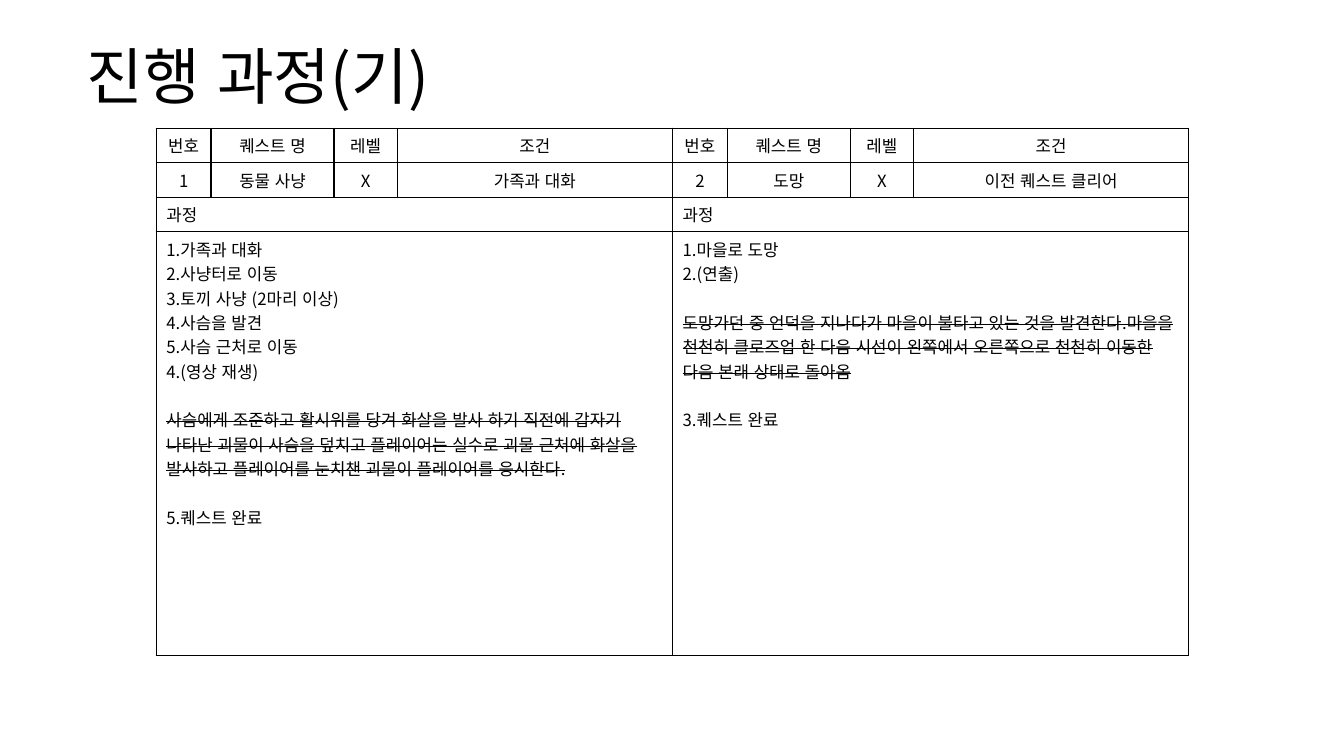
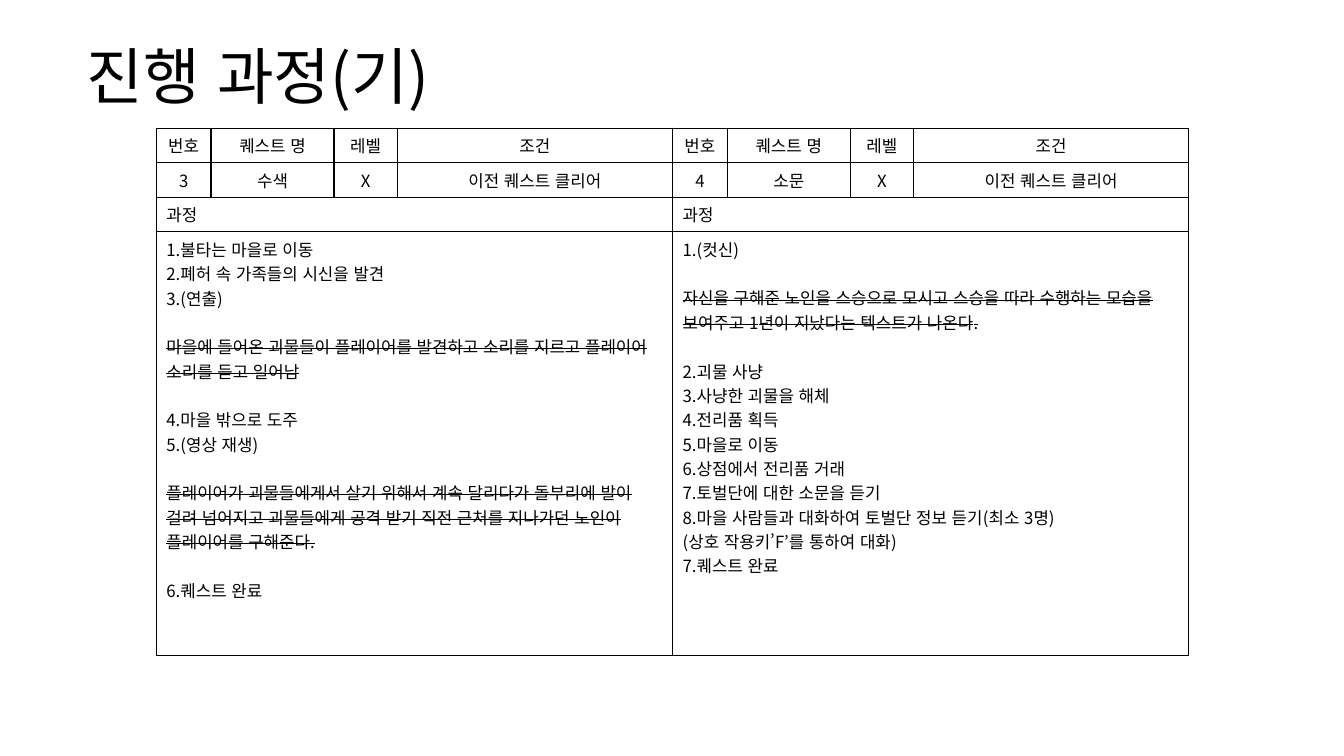
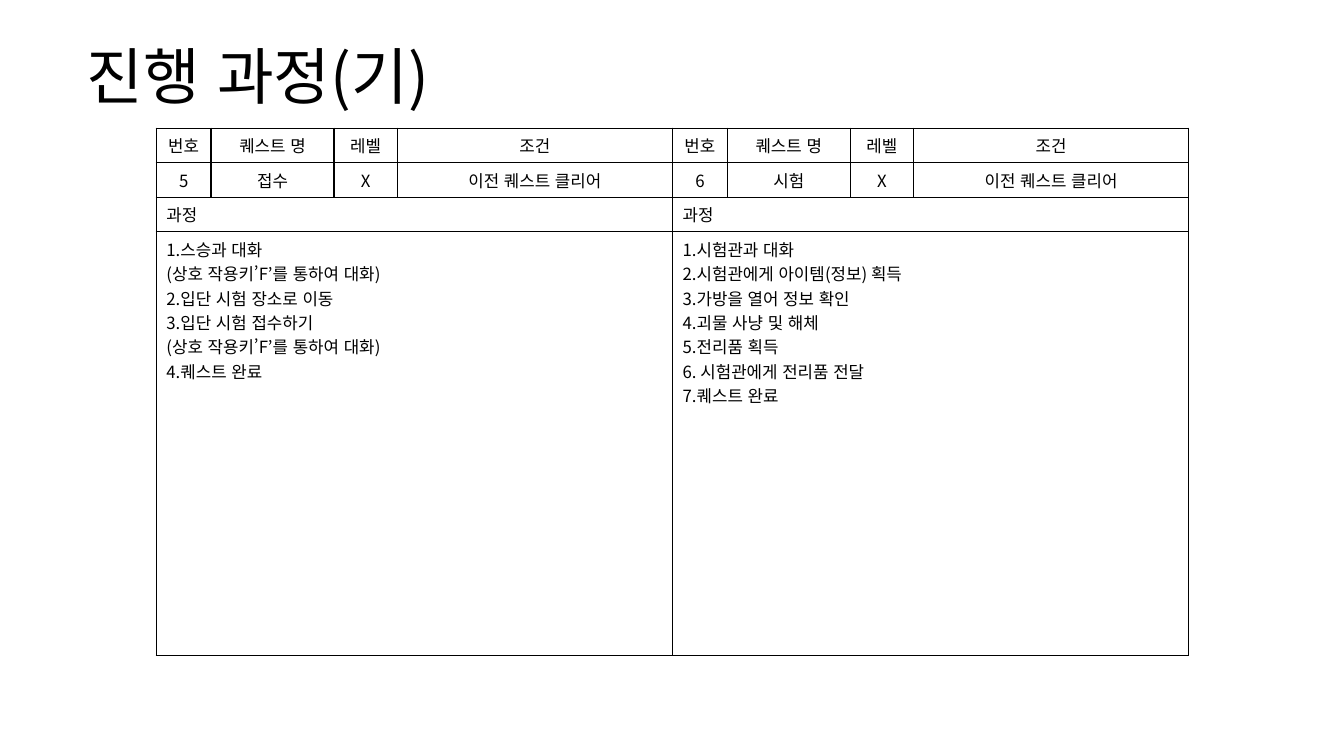
import lxml.etree
import pptx
import pptx.dml.color
import pptx.enum.lang
import pptx.enum.text
import pptx.oxml.ns
import pptx.util

Cm = pptx.util.Cm
Pt = pptx.util.Pt
qn = pptx.oxml.ns.qn

COLOURS = {"text": "000000", "border": "000000"}
FONT = "Noto Sans CJK KR"
BODY_SIZE = 12
BLOCK_GAP = 17.4
TITLE = "진행 과정(기)"
TITLE_BOX = (1.93, 0.81, 30, 2.39)
HEADINGS = ["번호", "퀘스트 명", "레벨", "조건"]
COLUMN_WIDTHS = [1.38, 3.1, 1.59, 6.94]
ROW_HEIGHTS = [0.87, 0.87, 0.87, 10.68]
TABLE_LEFT, TABLE_TOP = 3.94, 3.23
CLEARED = "이전 퀘스트 클리어"
TALK = "(상호 작용키’F’를 통하여 대화)"

# Each quest: number, name, level, condition, blocks; every second block is a struck-out scene.
PAGES = [
    [
        (["1", "동물 사냥", "X", "가족과 대화"], [
            ["1.가족과 대화", "2.사냥터로 이동", "3.토끼 사냥 (2마리 이상)", "4.사슴을 발견",
             "5.사슴 근처로 이동", "4.(영상 재생)"],
            ["사슴에게 조준하고 활시위를 당겨 화살을 발사 하기 직전에 갑자기 나타난 괴물이 사슴을 덮치고 "
             "플레이어는 실수로 괴물 근처에 화살을 발사하고 플레이어를 눈치챈 괴물이 플레이어를 응시한다."],
            ["5.퀘스트 완료"],
        ]),
        (["2", "도망", "X", CLEARED], [
            ["1.마을로 도망", "2.(연출)"],
            ["도망가던 중 언덕을 지나다가 마을이 불타고 있는 것을 발견한다.마을을 천천히 클로즈업 한 다음 "
             "시선이 왼쪽에서 오른쪽으로 천천히 이동한 다음 본래 상태로 돌아옴"],
            ["3.퀘스트 완료"],
        ]),
    ],
    [
        (["3", "수색", "X", CLEARED], [
            ["1.불타는 마을로 이동", "2.폐허 속 가족들의 시신을 발견", "3.(연출)"],
            ["마을에 들어온 괴물들이 플레이어를 발견하고 소리를 지르고 플레이어 소리를 듣고 일어남"],
            ["4.마을 밖으로 도주", "5.(영상 재생)"],
            ["플레이어가 괴물들에게서 살기 위해서 계속 달리다가 돌부리에 발이 걸려 넘어지고 괴물들에게 "
             "공격 받기 직전 근처를 지나가던 노인이 플레이어를 구해준다."],
            ["6.퀘스트 완료"],
        ]),
        (["4", "소문", "X", CLEARED], [
            ["1.(컷신)"],
            ["자신을 구해준 노인을 스승으로 모시고 스승을 따라 수행하는 모습을 보여주고 "
             "1년이 지났다는 텍스트가 나온다."],
            ["2.괴물 사냥", "3.사냥한 괴물을 해체", "4.전리품 획득", "5.마을로 이동",
             "6.상점에서 전리품 거래", "7.토벌단에 대한 소문을 듣기",
             "8.마을 사람들과 대화하여 토벌단 정보 듣기(최소 3명)", TALK, "7.퀘스트 완료"],
        ]),
    ],
    [
        (["5", "접수", "X", CLEARED], [
            ["1.스승과 대화", TALK, "2.입단 시험 장소로 이동", "3.입단 시험 접수하기", TALK,
             "4.퀘스트 완료"],
        ]),
        (["6", "시험", "X", CLEARED], [
            ["1.시험관과 대화", "2.시험관에게 아이템(정보) 획득", "3.가방을 열어 정보 확인",
             "4.괴물 사냥 및 해체", "5.전리품 획득", "6. 시험관에게 전리품 전달", "7.퀘스트 완료"],
        ]),
    ],
]


def add_span(para, text, size=BODY_SIZE, struck=False):
    """Add one run in the shared font and colour."""
    span = para.add_run()
    span.text = text
    span.font.size = Pt(size)
    span.font.color.rgb = pptx.dml.color.RGBColor.from_string(COLOURS["text"])
    span.font.language_id = pptx.enum.lang.MSO_LANGUAGE_ID.KOREAN
    span.font.name = FONT
    properties = span.font._element
    lxml.etree.SubElement(properties, qn("a:ea"), typeface=FONT)
    if struck:
        properties.set("strike", "sngStrike")


def style_cell(cell):
    """Give a cell thin borders and no fill."""
    properties = cell._tc.get_or_add_tcPr()
    for side in ("L", "R", "T", "B"):
        line = lxml.etree.SubElement(properties, qn(f"a:ln{side}"), w=str(Pt(1)))
        fill = lxml.etree.SubElement(line, qn("a:solidFill"))
        lxml.etree.SubElement(fill, qn("a:srgbClr"), val=COLOURS["border"])
    cell.fill.background()


def add_title(page, left, top, width, height):
    """Place the slide title."""
    box = page.shapes.add_textbox(Cm(left), Cm(top), Cm(width), Cm(height))
    box.text_frame.word_wrap = True
    box.text_frame.vertical_anchor = pptx.enum.text.MSO_ANCHOR.MIDDLE
    para = box.text_frame.paragraphs[0]
    para.line_spacing = 0.9
    add_span(para, TITLE, 44)


def fill_process(frame, blocks):
    """Write the steps and scenes, with one line of space between blocks."""
    for block_index, block in enumerate(blocks):
        for line_index, text in enumerate(block):
            first = block_index == line_index == 0
            para = frame.paragraphs[0] if first else frame.add_paragraph()
            if block_index and line_index == 0:
                para.space_before = Pt(BLOCK_GAP)
            add_span(para, text, struck=block_index % 2 == 1)


def add_quest(page, left, top, details, blocks):
    """Place the table of one quest."""
    frame = page.shapes.add_table(
        len(ROW_HEIGHTS), len(COLUMN_WIDTHS), Cm(left), Cm(top),
        Cm(sum(COLUMN_WIDTHS)), Cm(sum(ROW_HEIGHTS)))
    table = frame.table
    table.first_row = table.horz_banding = False
    for column, width in zip(table.columns, COLUMN_WIDTHS):
        column.width = Cm(width)
    for row, height in zip(table.rows, ROW_HEIGHTS):
        row.height = Cm(height)
    for cell in table.iter_cells():
        style_cell(cell)
    for row_index, texts in enumerate((HEADINGS, details)):
        for column_index, text in enumerate(texts):
            para = table.cell(row_index, column_index).text_frame.paragraphs[0]
            para.alignment = pptx.enum.text.PP_ALIGN.CENTER
            add_span(para, text)
    for row_index in (2, 3):
        table.cell(row_index, 0).merge(table.cell(row_index, len(COLUMN_WIDTHS) - 1))
    add_span(table.cell(2, 0).text_frame.paragraphs[0], "과정")
    fill_process(table.cell(3, 0).text_frame, blocks)


def add_quest_page(deck, quests):
    """Add a slide with its title and quests side by side."""
    page = deck.slides.add_slide(deck.slide_layouts[6])
    add_title(page, *TITLE_BOX)
    for index, (details, blocks) in enumerate(quests):
        add_quest(page, TABLE_LEFT + index * sum(COLUMN_WIDTHS), TABLE_TOP, details, blocks)


def main():
    """Build and save the deck."""
    deck = pptx.Presentation()
    deck.slide_width, deck.slide_height = Cm(33.87), Cm(19.05)
    for quests in PAGES:
        add_quest_page(deck, quests)
    deck.save("out.pptx")


if __name__ == "__main__":
    main()
